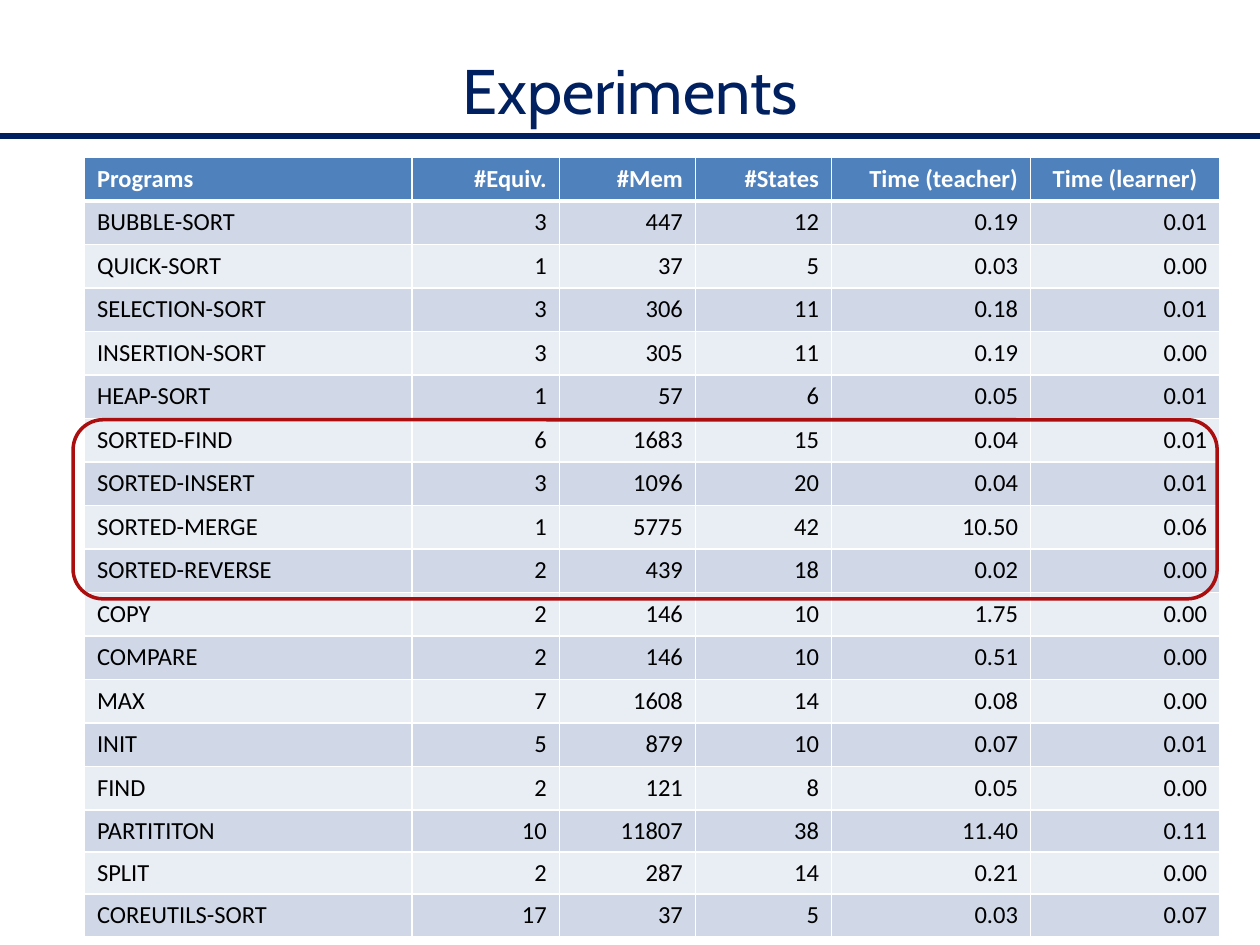
from lxml.etree import SubElement
from pptx import Presentation
from pptx.dml.color import RGBColor
from pptx.enum.shapes import MSO_CONNECTOR, MSO_SHAPE
from pptx.enum.text import MSO_ANCHOR, PP_ALIGN
from pptx.oxml.ns import qn
from pptx.util import Inches, Pt

NAVY, WHITE, BLACK, RED = "002060", "FFFFFF", "000000", "AA0E0E"
HEADER_FILL, BAND_FILLS = "4F81BD", ("D0D8E8", "E9EDF4")
LEFT, TOP = 0.67, 1.25
COLUMN_WIDTHS = (2.6, 1.17, 1.08, 1.08, 1.58, 1.5)
ROW_HEIGHT = 5.18 / 15
SHORT_ROWS, SHORT_HEIGHT = 3, 0.33
HEADINGS = ("Programs", "#Equiv.", "#Mem", "#States", "Time (teacher)", "Time (learner)")
RESULTS = """\
BUBBLE-SORT 3 447 12 0.19 0.01
QUICK-SORT 1 37 5 0.03 0.00
SELECTION-SORT 3 306 11 0.18 0.01
INSERTION-SORT 3 305 11 0.19 0.00
HEAP-SORT 1 57 6 0.05 0.01
SORTED-FIND 6 1683 15 0.04 0.01
SORTED-INSERT 3 1096 20 0.04 0.01
SORTED-MERGE 1 5775 42 10.50 0.06
SORTED-REVERSE 2 439 18 0.02 0.00
COPY 2 146 10 1.75 0.00
COMPARE 2 146 10 0.51 0.00
MAX 7 1608 14 0.08 0.00
INIT 5 879 10 0.07 0.01
FIND 2 121 8 0.05 0.00
PARTITITON 10 11807 38 11.40 0.11
SPLIT 2 287 14 0.21 0.00
COREUTILS-SORT 17 37 5 0.03 0.07"""


def color(value):
    return RGBColor.from_string(value)


def set_text(frame, text, font, size, ink, align, bold=False):
    frame.text = text
    para = frame.paragraphs[0]
    para.alignment = align
    span = para.runs[0]
    span.font.name, span.font.size, span.font.bold = font, Pt(size), bold
    span.font.color.rgb = color(ink)


def add_title(page, text, width):
    box = page.shapes.add_textbox(0, Inches(0.08), width, Inches(1.25))
    frame = box.text_frame
    frame.word_wrap = True
    frame.vertical_anchor = MSO_ANCHOR.MIDDLE
    set_text(frame, text, "Cabin", 36, NAVY, PP_ALIGN.CENTER)


def add_rule(page, top, width):
    rule = page.shapes.add_connector(MSO_CONNECTOR.STRAIGHT, 0, top, width, top)
    rule.line.color.rgb = color(NAVY)
    rule.line.width = Pt(3)
    SubElement(rule._element.spPr, qn("a:effectLst"))


def set_borders(cell, widths):
    """Draw white borders; widths maps a side (L, R, T, B) to points."""
    properties = cell._tc.get_or_add_tcPr()
    for position, (side, width) in enumerate(widths.items()):
        border = SubElement(properties, qn(f"a:ln{side}"), w=str(Pt(width)))
        fill = SubElement(border, qn("a:solidFill"))
        SubElement(fill, qn("a:srgbClr"), val=WHITE)
        properties.insert(position, border)


def column_align(column, is_header):
    if column == 0:
        return PP_ALIGN.LEFT
    if is_header and column == len(HEADINGS) - 1:
        return PP_ALIGN.CENTER
    return PP_ALIGN.RIGHT


def add_results(page):
    rows = [HEADINGS] + [line.split() for line in RESULTS.splitlines()]
    heights = [ROW_HEIGHT] * (len(rows) - SHORT_ROWS) + [SHORT_HEIGHT] * SHORT_ROWS
    table = page.shapes.add_table(
        len(rows), len(HEADINGS), Inches(LEFT), Inches(TOP),
        Inches(sum(COLUMN_WIDTHS)), Inches(sum(heights))).table
    for column, width in zip(table.columns, COLUMN_WIDTHS):
        column.width = Inches(width)
    for row, height in zip(table.rows, heights):
        row.height = Inches(height)
    for row_index, values in enumerate(rows):
        is_header = row_index == 0
        fill = HEADER_FILL if is_header else BAND_FILLS[(row_index - 1) % 2]
        borders = {"L": 1, "R": 1, "T": 3 if row_index == 1 else 1, "B": 3 if is_header else 1}
        for column_index, value in enumerate(values):
            cell = table.cell(row_index, column_index)
            cell.fill.solid()
            cell.fill.fore_color.rgb = color(fill)
            set_text(cell.text_frame, value, "Calibri", 14, WHITE if is_header else BLACK,
                     column_align(column_index, is_header), is_header)
            set_borders(cell, borders)


def add_highlight(page, first_row, row_count):
    """Outline a group of table rows."""
    frame = page.shapes.add_shape(
        MSO_SHAPE.ROUNDED_RECTANGLE, Inches(LEFT - 0.09), Inches(TOP + first_row * ROW_HEIGHT + 0.01),
        Inches(sum(COLUMN_WIDTHS) + 0.07), Inches(row_count * ROW_HEIGHT + 0.04))
    frame.shadow.inherit = False
    frame.fill.background()
    frame.line.color.rgb = color(RED)
    frame.line.width = Pt(2)


def main():
    deck = Presentation()
    deck.slide_width, deck.slide_height = Inches(10), Inches(7.5)
    page = deck.slides.add_slide(deck.slide_layouts[6])
    add_title(page, "Experiments", deck.slide_width)
    add_rule(page, Inches(1.08), deck.slide_width)
    add_results(page)
    add_highlight(page, first_row=6, row_count=4)
    deck.save("out.pptx")


if __name__ == "__main__":
    main()
